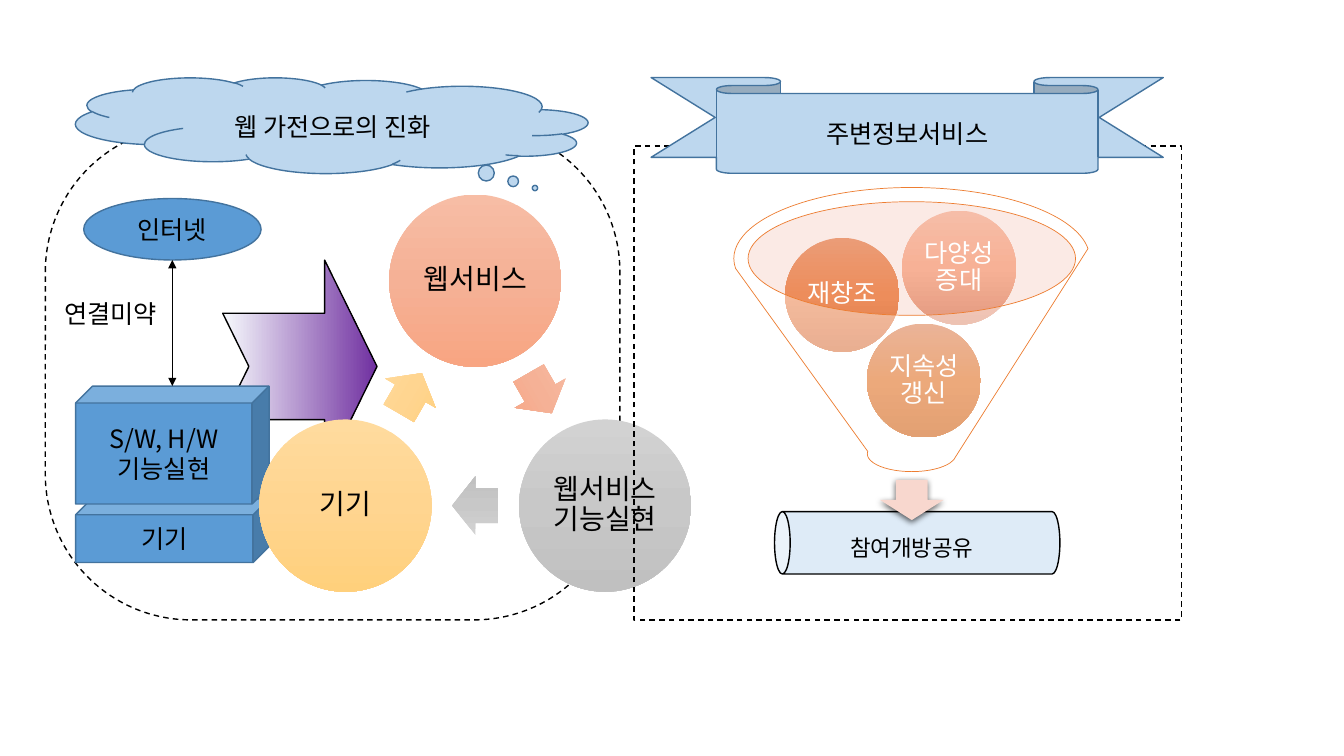
from dataclasses import dataclass
from math import cos, radians, sin

from lxml import etree
from pptx import Presentation
from pptx.dml.color import RGBColor
from pptx.enum import dml, shapes, text
from pptx.oxml import ns
from pptx.util import Pt

KIND = shapes.MSO_SHAPE


@dataclass(frozen=True)
class Theme:
    """Colours, font and type sizes."""
    font: str = "Noto Sans CJK KR"
    small: int = 16
    body: int = 18
    large: int = 20
    ink: str = "000000"
    white: str = "FFFFFF"
    blue: str = "5B9BD5"
    edge: str = "43739E"
    sky: str = "BDD7EE"
    pale: str = "DEEBF7"
    orange: str = "ED7D31"
    blush: str = "F6CCBE"
    drop: str = "F8D7CE"
    sweep: tuple = ("F7FAFD", "7030A0")
    coral: tuple = ("F7BDA5", "F5B196", "F8A582")
    grey: tuple = ("D2D2D2", "C8C8C8", "C0C0C0")
    gold: tuple = ("FFDB9E", "FFD590", "FFD07C")
    rust: tuple = ("DD8254", "E07024", "D06216")
    clay: tuple = ("EB9C77", "ED8D5B", "DB7A49")
    peach: tuple = ("F6BDA8", "F7B196", "E29A80")


T = Theme()


def sub(node, tag, **attrs):
    """Append a DrawingML element and return it."""
    return etree.SubElement(node, ns.qn("a:" + tag), attrs)


def blend(shape, tones, angle):
    """Fill with evenly spaced tones at a clockwise angle."""
    shape.fill.gradient()
    grad = shape.element.spPr.find(ns.qn("a:gradFill"))
    for child in list(grad):
        grad.remove(child)
    stops = sub(grad, "gsLst")
    for i, tone in enumerate(tones):
        stop = sub(stops, "gs", pos=str(i * 100000 // (len(tones) - 1)))
        sub(stop, "srgbClr", val=tone)
    sub(grad, "lin", ang=str(angle * 60000), scaled="0")


def paint(shape, fill, angle=90, alpha=None):
    """Give a shape a plain, clear or blended fill."""
    if fill is None:
        shape.fill.background()
    elif isinstance(fill, tuple):
        blend(shape, fill, angle)
    else:
        shape.fill.solid()
        shape.fill.fore_color.rgb = RGBColor.from_string(fill)
        if alpha:
            tone = shape.element.spPr.find(ns.qn("a:solidFill"))[0]
            sub(tone, "alpha", val=str(alpha * 1000))


def stroke(line, color, width=1, dash=False):
    """Set a line's colour, width and dash."""
    if color is None:
        line.fill.background()
        return
    line.color.rgb = RGBColor.from_string(color)
    line.width = Pt(width)
    if dash:
        line.dash_style = dml.MSO_LINE.DASH


def write(shape, words, size=T.body, color=T.ink, inset=None, space=None):
    """Write centred paragraphs, one for each line of words."""
    frame = shape.text_frame
    frame.word_wrap = True
    frame.vertical_anchor = text.MSO_ANCHOR.MIDDLE
    if inset is not None:
        frame.margin_left = frame.margin_right = Pt(inset)
        frame.margin_top = frame.margin_bottom = Pt(inset)
    for i, part in enumerate(words.split("\n")):
        para = frame.add_paragraph() if i else frame.paragraphs[0]
        para.alignment = text.PP_ALIGN.CENTER
        if space:
            para.line_spacing = space
        run = para.add_run()
        run.text = part
        run.font.name = T.font
        run.font.size = Pt(size)
        run.font.color.rgb = RGBColor.from_string(color)
        sub(run.font._element, "ea", typeface=T.font)


def draw(slide, kind, box, fill=None, line=None, adj=(), turn=0, flip=False,
         width=1, dash=False, **look):
    """Add a preset shape in a box of points."""
    shape = slide.shapes.add_shape(kind, *map(Pt, box))
    shape.shadow.inherit = False
    for i, value in enumerate(adj):
        shape.adjustments[i] = value
    shape.rotation = turn
    if flip:
        shape.element.spPr.find(ns.qn("a:xfrm")).set("flipH", "1")
    paint(shape, fill, **look)
    stroke(shape.line, line, width, dash)
    return shape


def label(slide, box, words, **style):
    """Add a free text box."""
    write(slide.shapes.add_textbox(*map(Pt, box)), words, **style)


def disc(slide, x, y, span, words, tones, **style):
    """Add a round shape centred on a point, with its text."""
    ball = draw(slide, KIND.OVAL, (x - span / 2, y - span / 2, span, span), tones)
    write(ball, words, inset=2.2, space=0.9, **style)


def link(slide, x, top, end):
    """Add a vertical line with arrowheads at both ends."""
    wire = slide.shapes.add_connector(shapes.MSO_CONNECTOR.STRAIGHT,
                                      Pt(x), Pt(top), Pt(x), Pt(end))
    stroke(wire.line, T.ink, 0.5)
    for tag in ("headEnd", "tailEnd"):
        sub(wire.line._get_or_add_ln(), tag, type="triangle")
    sub(wire.element.spPr, "effectLst")


def cycle(slide, x, y, radius):
    """Draw three discs round a centre, with arrows halfway between them."""
    parts = (("웹서비스", T.coral), ("웹서비스기능실현", T.grey), ("기기", T.gold))
    spots = [(x + radius * cos(radians(a)), y + radius * sin(radians(a)))
             for a in (-90, 30, 150)]
    wide, high = 33.1, 41.8
    for i, (words, tones) in enumerate(parts):
        here, there = spots[i], spots[(i + 1) % 3]
        disc(slide, *here, 123.1, words, tones, size=T.large)
        left, top = ((a + b) / 2 for a, b in zip(here, there))
        draw(slide, KIND.RIGHT_ARROW, (left - wide / 2, top - high / 2, wide, high),
             tones, adj=(0.6, 0.5), turn=60 + 120 * i)


def evolve(slide, x, y, w, h):
    """Draw the web appliance panel."""
    draw(slide, KIND.NOTCHED_RIGHT_ARROW, (x + 126.7, y + 95.8, 110.2, 151.9),
         T.sweep, T.ink, adj=(0.5, 0.339), angle=0)
    draw(slide, KIND.ROUNDED_RECTANGLE, (x, y, w, h), None, T.ink,
         adj=(0.295,), dash=True)
    draw(slide, KIND.CLOUD_CALLOUT, (x + 21.6, y - 34.6, 365.8, 68.4), T.sky,
         T.edge, adj=(-0.397, 0.654), flip=True)
    label(slide, (x + 68.4, y - 14.4, 273.6, 28.8), "웹 가전으로의 진화")
    blocks = ((KIND.CUBE, (21.6, 266.4, 138.2, 45.4), "기기", ()),
              (KIND.CUBE, (21.6, 185.8, 138.2, 84.2), "S/W, H/W\n기능실현", (0.144,)),
              (KIND.OVAL, (27.4, 51.8, 126.7, 43.9), "인터넷", ()))
    for kind, (left, top, *size), words, adj in blocks:
        block = draw(slide, kind, (x + left, y + top, *size), T.blue, T.edge, adj)
        write(block, words)
    cycle(slide, x + 307.1, y + 217.6, 107.1)
    link(slide, x + 90.7, y + 95.8, y + 185.8)
    label(slide, (x - 2.2, y + 119.5, 97.9, 28.8), "연결미약")


def funnel(slide, x, y, w, h):
    """Draw the funnel, its three balls and the result below."""
    draw(slide, KIND.OVAL, (x + 10, y + 10.1, 234, 81.4), T.blush, alpha=40)
    drop = draw(slide, KIND.DOWN_ARROW, (x + 104.4, y + 208.8, 45.4, 28.8), T.drop)
    glow = sub(drop.element.spPr.find(ns.qn("a:effectLst")), "outerShdw",
               blurRad=str(Pt(4.5)), dist=str(Pt(1.5)), dir="5400000",
               rotWithShape="0")
    sub(sub(glow, "srgbClr", val=T.ink), "alpha", val="63000")
    label(slide, (x + 18, y + 231.1, 218.2, 54.7), "참여개방공유",
          size=T.small, inset=8.6, space=0.9)
    for left, top, words, tones in ((135.7, 137.9, "지속성갱신", T.rust),
                                    (77.4, 76.7, "재창조", T.clay),
                                    (160.9, 57.3, "다양성증대", T.peach)):
        disc(slide, x + left, y + top, 81.4, words, tones, color=T.white)
    draw(slide, KIND.FUNNEL, (x, y, w, h), T.white, T.orange, width=0.5, alpha=40)


def around(slide, x, y, w, h):
    """Draw the nearby information panel."""
    draw(slide, KIND.CAN, (x + 180, y + 181.4, 44.6, 203.8), T.pale, T.ink, turn=270)
    draw(slide, KIND.RECTANGLE, (x, y, w, h), None, T.ink, dash=True)
    banner = draw(slide, KIND.DOWN_RIBBON, (x + 12.2, y - 49, 365.8, 68.4), T.sky,
                  T.edge, adj=(0.167, 0.745), flip=True)
    write(banner, "주변정보서비스")
    funnel(slide, x + 71.3, y + 29.5, 254.2, 203)


def main():
    """Build and save the slide."""
    deck = Presentation()
    deck.slide_width, deck.slide_height = Pt(960), Pt(540)
    slide = deck.slides.add_slide(deck.slide_layouts[6])
    evolve(slide, 32.4, 90, 410.4, 352.8)
    around(slide, 452.9, 104.4, 391, 338.4)
    deck.save("out.pptx")


main()
